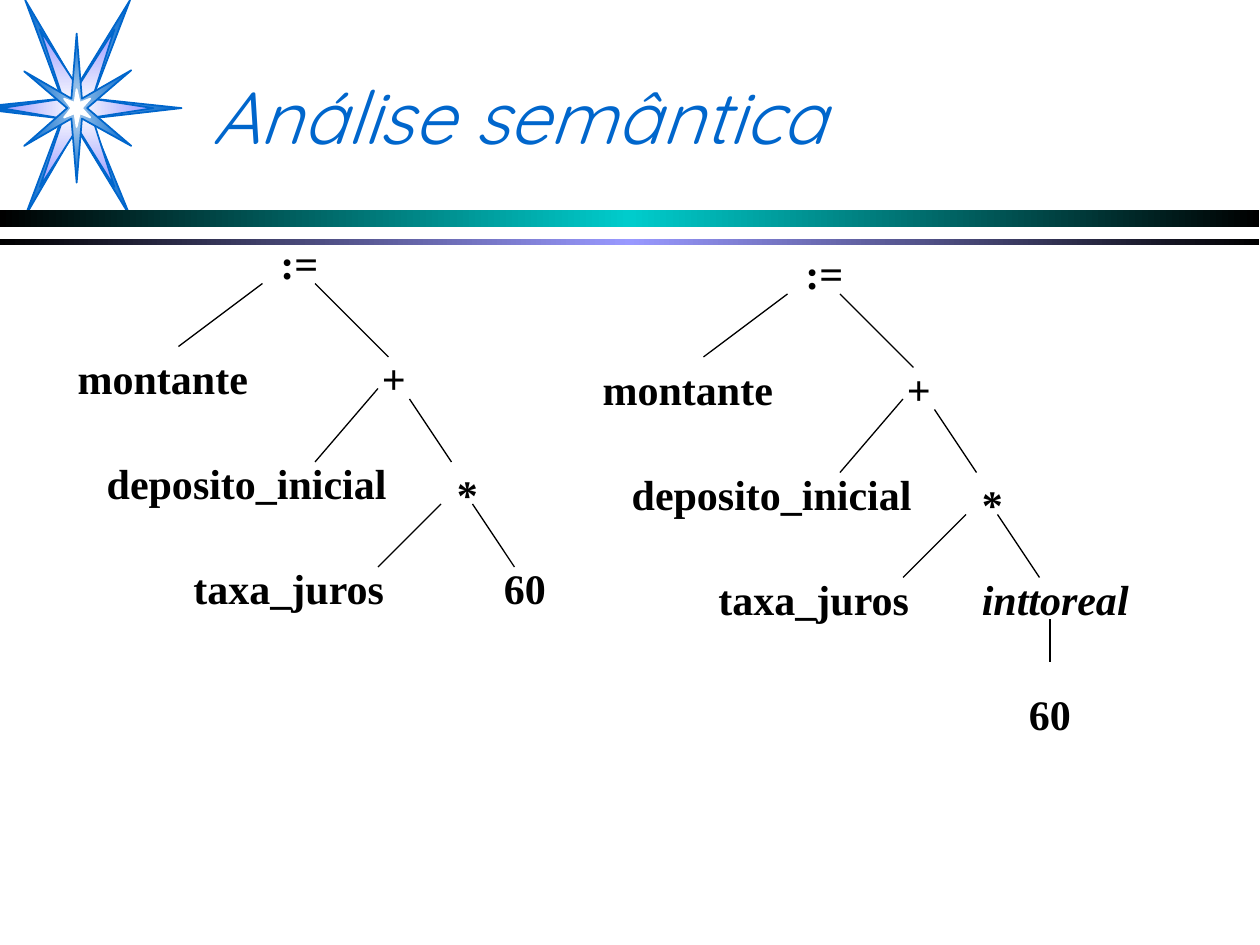
"""Build the slide on semantic analysis with its two syntax trees."""
import pptx
import pptx.dml.color
import pptx.enum.shapes
import pptx.enum.text
import pptx.oxml
import pptx.oxml.ns
import pptx.util

PX = 7620
BLUE = "0066CC"
NS = pptx.oxml.ns.nsdecls("a")
CENTRE = ('<a:path path="rect"><a:fillToRect l="50000" t="50000" '
          'r="50000" b="50000"/></a:path>')
ACROSS = '<a:lin ang="10800000" scaled="0"/>'

RAYS = [
    (["7EB1E4", BLUE], BLUE,
     [(59, 94), (24, 0), (73, 83), (124, 0), (88, 94), (173, 103), (86, 113),
      (124, 206), (73, 122), (24, 206), (59, 113), (0, 106), (0, 100)]),
    (["FEFEFE", "9999FF"], BLUE,
     [(60, 94), (38, 28), (74, 83), (109, 28), (88, 94), (146, 103), (88, 112),
      (109, 178), (74, 122), (38, 178), (60, 113), (1, 103)]),
    (["98C1E9", BLUE], BLUE,
     [(23, 68), (68, 94), (73, 32), (78, 94), (125, 67), (83, 103), (125, 139),
      (78, 113), (73, 174), (68, 113), (23, 139), (64, 103)]),
    (["FFFFFF"], "FFFFFF",
     [(61, 94), (71, 98), (73, 85), (76, 98), (86, 94), (78, 103), (86, 112),
      (76, 108), (73, 121), (71, 108), (61, 112), (68, 103)]),
]

NODES = [(":=", 180, 0, 90), ("montante", 0, 110, 190), ("+", 270, 110, 90),
         ("*", 340, 220, 90), ("deposito_inicial", 0, 210, 350),
         ("taxa_juros", 100, 310, 230)]
EDGES = [(190, 50, 110, 110), (240, 50, 310, 120), (300, 150, 240, 220),
         (330, 160, 370, 220), (360, 260, 300, 320), (390, 260, 430, 320)]


def emu(*vals):
    """Turn px lengths into EMU."""
    return [pptx.util.Emu(v * PX) for v in vals]


def rgb(code):
    """Turn a hex string into a colour."""
    return pptx.dml.color.RGBColor.from_string(code)


def blend(shape, hues, kind):
    """Fill a shape with evenly spaced gradient stops, or one flat colour."""
    shape.shadow.inherit = False
    if len(hues) == 1:
        shape.fill.solid()
        shape.fill.fore_color.rgb = rgb(hues[0])
        return
    shape.fill.gradient()
    old = shape._element.spPr.find(pptx.oxml.ns.qn("a:gradFill"))
    stops = "".join(
        f'<a:gs pos="{100000 * i // (len(hues) - 1)}"><a:srgbClr val="{hue}"/></a:gs>'
        for i, hue in enumerate(hues))
    new = pptx.oxml.parse_xml(
        f'<a:gradFill {NS} rotWithShape="1"><a:gsLst>{stops}</a:gsLst>{kind}</a:gradFill>')
    old.getparent().replace(old, new)


def style(par, font, size, hue, bold=False, slant=False):
    """Set the font of a paragraph."""
    par.font.name = font
    par.font.size = pptx.util.Pt(size)
    par.font.color.rgb = rgb(hue)
    par.font.bold = bold
    par.font.italic = slant


def star(slide, left, top):
    """Draw the layered star."""
    group = slide.shapes.add_group_shape()
    for hues, edge, pts in RAYS:
        pts = [(left + x, top + y) for x, y in pts]
        path = group.shapes.build_freeform(*pts[0], scale=PX)
        path.add_line_segments(pts[1:], close=True)
        ray = path.convert_to_shape()
        blend(ray, hues, CENTRE)
        ray.line.color.rgb = rgb(edge)
        ray.line.width = pptx.util.Pt(1)


def bar(slide, box, hue):
    """Draw a rule that fades to black at both ends."""
    rule = slide.shapes.add_shape(pptx.enum.shapes.MSO_SHAPE.RECTANGLE, *emu(*box))
    blend(rule, ["000000", hue, "000000"], ACROSS)
    rule.line.fill.background()


def title(slide, box, text):
    """Place and format the title."""
    head = slide.shapes.title
    head.left, head.top, head.width, head.height = emu(*box)
    frame = head.text_frame
    frame.text = text
    frame.word_wrap = True
    frame.vertical_anchor = pptx.enum.text.MSO_ANCHOR.MIDDLE
    par = frame.paragraphs[0]
    par.alignment = pptx.enum.text.PP_ALIGN.LEFT
    style(par, "Quicksand", 42, BLUE, slant=True)


def tree(slide, left, top, nodes, edges, slant=()):
    """Draw a syntax tree of labels and branches."""
    group = slide.shapes.add_group_shape()
    for text, x, y, wide in nodes:
        label = group.shapes.add_textbox(*emu(left + x, top + y, wide, 60))
        frame = label.text_frame
        frame.word_wrap = True
        frame.text = text
        par = frame.paragraphs[0]
        par.alignment = pptx.enum.text.PP_ALIGN.CENTER
        style(par, "Times New Roman", 24, "000000", True, text in slant)
    for x1, y1, x2, y2 in edges:
        branch = group.shapes.add_connector(
            pptx.enum.shapes.MSO_CONNECTOR.STRAIGHT,
            *emu(left + x1, top + y1, left + x2, top + y2))
        branch.line.color.rgb = rgb("000000")
        branch.line.width = pptx.util.Pt(0.75)
        branch._element.spPr.append(pptx.oxml.parse_xml(f"<a:effectLst {NS}/>"))


def main():
    """Build and save the slide."""
    deck = pptx.Presentation()
    deck.slide_width, deck.slide_height = emu(1200, 900)
    slide = deck.slides.add_slide(deck.slide_layouts[5])
    star(slide, 0, 0)
    bar(slide, (0, 200, 1199, 16), "00CCCC")
    bar(slide, (0, 228, 1199, 5), "9999FF")
    title(slide, (190, 30, 920, 160), "Análise semântica")
    tree(slide, 60, 220, NODES + [("60", 380, 310, 120)], EDGES)
    tree(slide, 560, 230,
         NODES + [("inttoreal", 340, 310, 210), ("60", 380, 420, 120)],
         EDGES + [(440, 360, 440, 400)], ("inttoreal",))
    deck.save("out.pptx")


if __name__ == "__main__":
    main()
